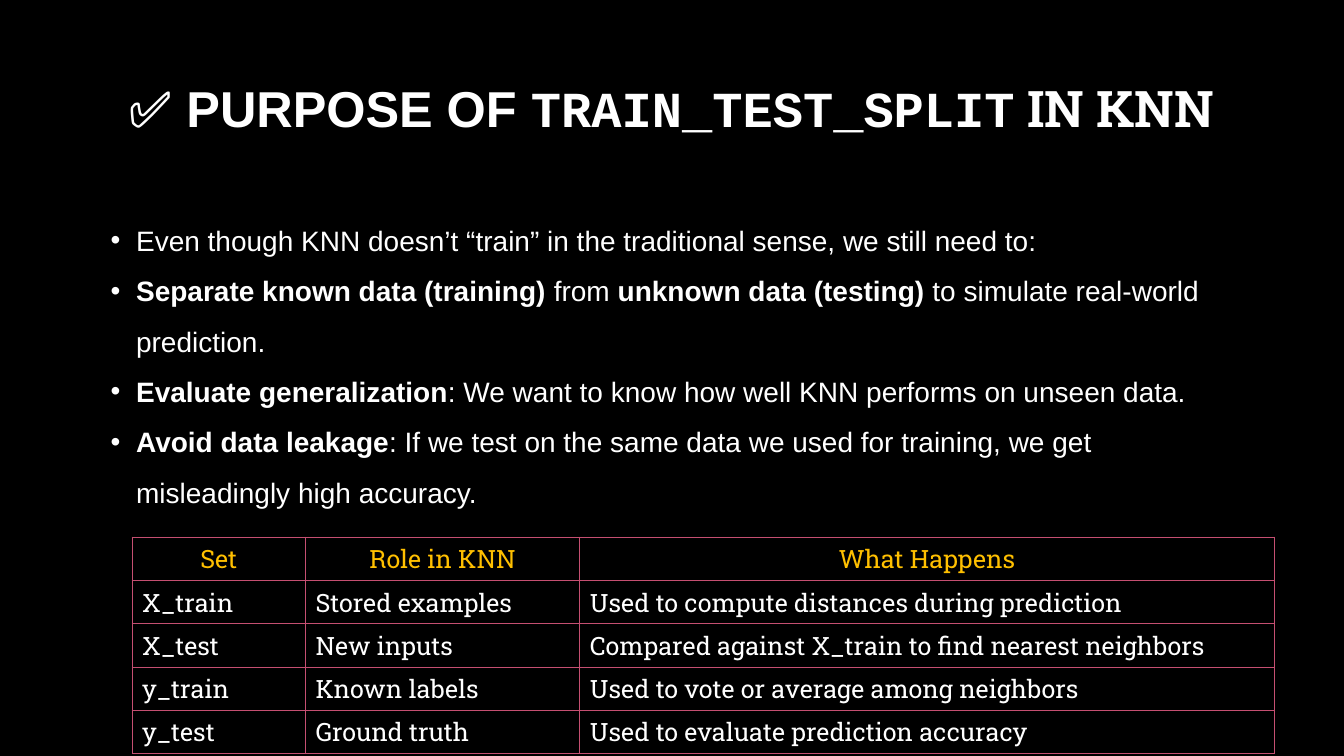
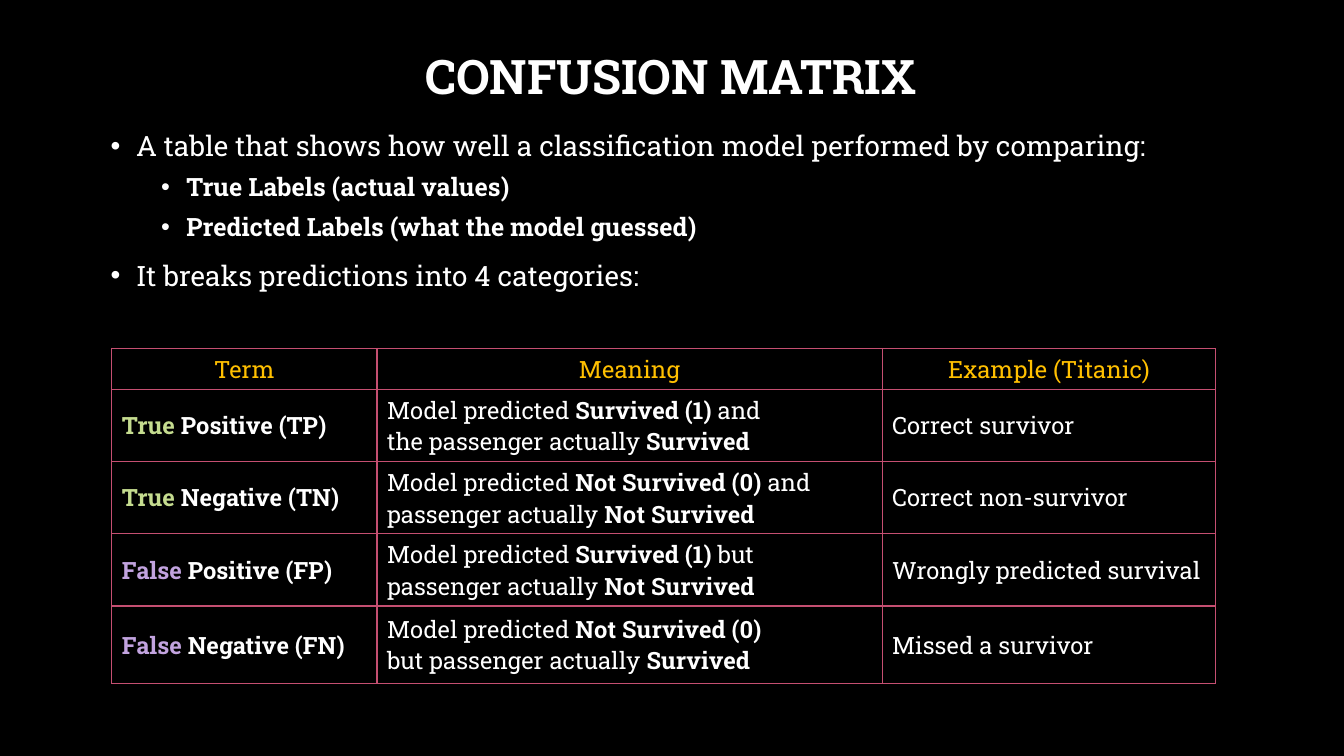
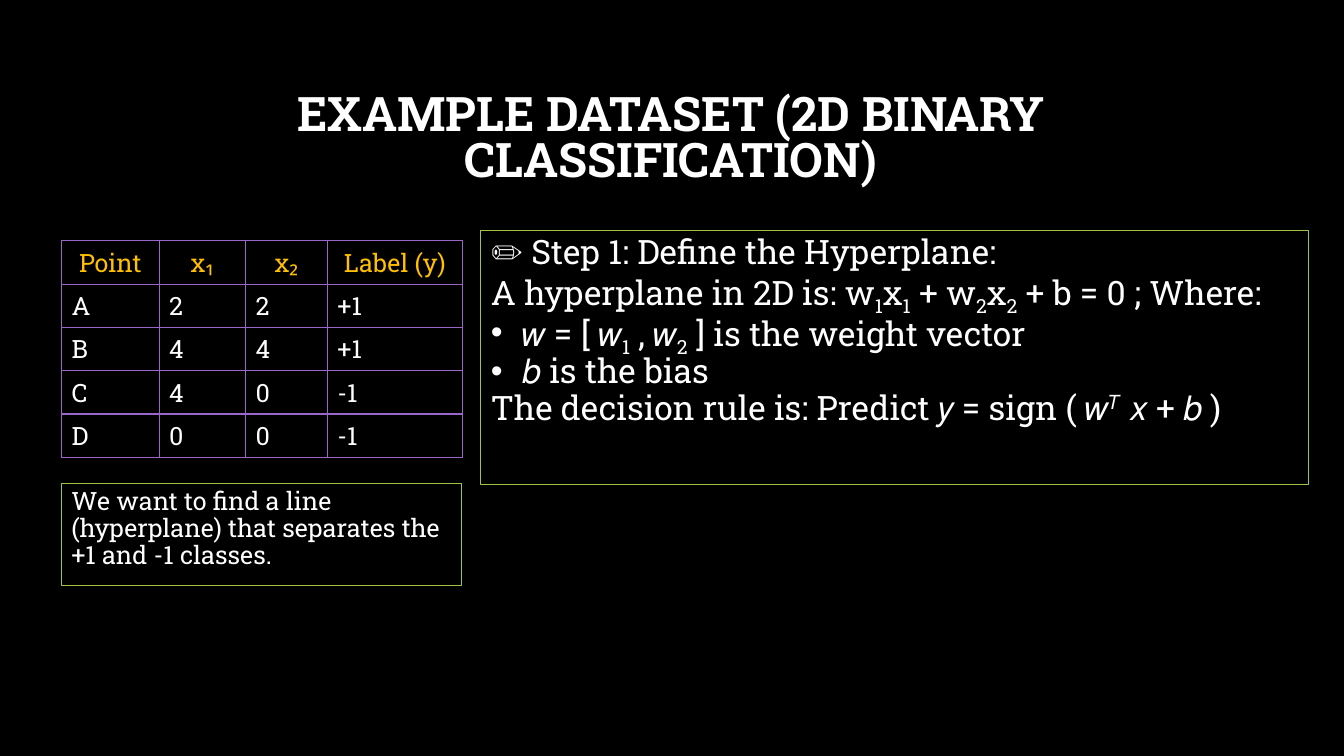
"""Builds three dark slides on KNN splits, the confusion matrix and a hyperplane."""
import dataclasses

import lxml.etree
import pptx
import pptx.dml.color
import pptx.enum.shapes
import pptx.enum.text
import pptx.oxml.ns
import pptx.util

Cm = pptx.util.Cm
Pt = pptx.util.Pt
RGBColor = pptx.dml.color.RGBColor
ALIGN = pptx.enum.text.PP_ALIGN
ANCHOR = pptx.enum.text.MSO_ANCHOR

BLACK = RGBColor(0x00, 0x00, 0x00)
WHITE = RGBColor(0xFF, 0xFF, 0xFF)
AMBER = RGBColor(0xFF, 0xC0, 0x00)
ROSE = RGBColor(0xC5, 0x4F, 0x71)
PURPLE = RGBColor(0x9A, 0x66, 0xCA)
LILAC = RGBColor(0xC2, 0xA3, 0xDF)
GREEN = RGBColor(0x9E, 0xC5, 0x44)
LIME = RGBColor(0xC5, 0xDC, 0x8F)

SLAB = "Roboto Slab"
SANS = "Arial"
MONO = "Courier New"
ROW_HEIGHT = 1.09


@dataclasses.dataclass
class Span:
    text: str
    bold: bool = False
    color: RGBColor = None
    font: str = None
    baseline: int = 0


@dataclasses.dataclass
class Para:
    spans: list
    size: float = 20
    font: str = SLAB
    color: RGBColor = WHITE
    align: int = ALIGN.LEFT
    spacing: object = 1.0
    before: float = 0
    indent: float = 0
    hanging: float = 0.64


def bold(text, color=None):
    return Span(text, bold=True, color=color)


def sub(text):
    return Span(text, baseline=-25000)


def sup(text):
    return Span(text, baseline=30000)


def add_xml(parent, tag, **attributes):
    return lxml.etree.SubElement(parent, pptx.oxml.ns.qn(tag), attributes)


def add_bullet(paragraph, indent, hanging):
    properties = paragraph._p.get_or_add_pPr()
    properties.set("marL", str(Cm(indent)))
    properties.set("indent", str(-Cm(hanging)))
    add_xml(properties, "a:buFont", typeface=SANS)
    add_xml(properties, "a:buChar", char="•")


def write(frame, paras):
    for index, para in enumerate(paras):
        paragraph = frame.paragraphs[0] if index == 0 else frame.add_paragraph()
        if para.indent:
            add_bullet(paragraph, para.indent, para.hanging)
        paragraph.alignment = para.align
        paragraph.line_spacing = para.spacing
        paragraph.space_before = Pt(para.before if index else 0)
        for item in para.spans:
            span = item if isinstance(item, Span) else Span(item)
            run = paragraph.add_run()
            run.text = span.text
            run.font.size = Pt(para.size)
            run.font.name = span.font or para.font
            run.font.bold = span.bold
            run.font.color.rgb = span.color or para.color
            if span.baseline:
                run._r.get_or_add_rPr().set("baseline", str(span.baseline))


def add_page(deck):
    page = deck.slides.add_slide(deck.slide_layouts[6])
    page.background.fill.solid()
    page.background.fill.fore_color.rgb = BLACK
    return page


def add_text(page, top, height, paras):
    box = page.shapes.add_textbox(Cm(2.54), Cm(top), Cm(28.75), Cm(height))
    box.text_frame.word_wrap = True
    write(box.text_frame, paras)
    return box.text_frame


def add_title(page, spans, top=1.7, height=3.68, size=34, spacing=0.9):
    title = Para(spans, size=size, align=ALIGN.CENTER, spacing=spacing)
    frame = add_text(page, top, height, [title])
    frame.vertical_anchor = ANCHOR.MIDDLE
    return frame


def add_framed_text(page, left, top, width, height, paras):
    box = page.shapes.add_shape(pptx.enum.shapes.MSO_SHAPE.RECTANGLE,
                                Cm(left), Cm(top), Cm(width), Cm(height))
    box.shadow.inherit = False
    box.fill.background()
    box.line.color.rgb = GREEN
    box.line.width = Pt(0.75)
    box.text_frame.word_wrap = True
    box.text_frame.vertical_anchor = ANCHOR.TOP
    write(box.text_frame, paras)


def set_borders(cell, color):
    properties = cell._tc.get_or_add_tcPr()
    for side in ("a:lnL", "a:lnR", "a:lnT", "a:lnB"):
        line = add_xml(properties, side, w=str(Pt(1)))
        add_xml(add_xml(line, "a:solidFill"), "a:srgbClr", val=str(color))


def add_grid(page, left, top, widths, heights, rows, border, size=18):
    """Draw a table; a cell is a string or a list of lines, each a list of spans."""
    table = page.shapes.add_table(len(rows), len(widths), Cm(left), Cm(top),
                                  Cm(sum(widths)), Cm(sum(heights))).table
    table.first_row = table.horz_banding = False
    for column, width in zip(table.columns, widths):
        column.width = Cm(width)
    for row_index, (row, height) in enumerate(zip(rows, heights)):
        table.rows[row_index].height = Cm(height)
        color, align = (WHITE, ALIGN.LEFT) if row_index else (AMBER, ALIGN.CENTER)
        for column_index, content in enumerate(row):
            cell = table.cell(row_index, column_index)
            cell.vertical_anchor = ANCHOR.MIDDLE
            set_borders(cell, border)
            cell.fill.background()
            lines = [[content]] if isinstance(content, str) else content
            write(cell.text_frame, [Para(line, size=size, color=color, align=align)
                                    for line in lines])


def build_split_page(deck):
    page = add_page(deck)
    title = add_title(page, [Span("✅ PURPOSE OF ", True, font=SANS),
                             Span("TRAIN_TEST_SPLIT", True, font=MONO),
                             bold(" IN KNN")], size=36)
    title.margin_bottom = Cm(1.6)
    reasons = [
        ["Even though KNN doesn’t “train” in the traditional sense, we still need to:"],
        [bold("Separate known data (training)"), " from ",
         bold("unknown data (testing)"), " to simulate real-world prediction."],
        [bold("Evaluate generalization"),
         ": We want to know how well KNN performs on unseen data."],
        [bold("Avoid data leakage"),
         ": If we test on the same data we used for training, "
         "we get misleadingly high accuracy."],
    ]
    add_text(page, 5.08, 8.31, [Para(spans, font=SANS, spacing=Pt(36), indent=0.64)
                                for spans in reasons])
    rows = [
        ("Set", "Role in KNN", "What Happens"),
        ("X_train", "Stored examples", "Used to compute distances during prediction"),
        ("X_test", "New inputs", "Compared against X_train to find nearest neighbors"),
        ("y_train", "Known labels", "Used to vote or average among neighbors"),
        ("y_test", "Ground truth", "Used to evaluate prediction accuracy"),
    ]
    add_grid(page, 3.33, 13.54, (4.37, 6.91, 17.5), [ROW_HEIGHT] * len(rows), rows, ROSE)


def build_matrix_page(deck):
    page = add_page(deck)
    add_title(page, [bold("CONFUSION MATRIX")], top=0.71, height=2.59)
    main_style = dict(spacing=1.08, before=10, indent=0.64)
    sub_style = dict(size=18, spacing=1.08, before=5, indent=1.91)
    add_text(page, 3.05, 13.03, [
        Para(["A table that shows how well a classification model performed by comparing:"],
             **main_style),
        Para([bold("True Labels (actual values)")], **sub_style),
        Para([bold("Predicted Labels (what the model guessed)")], **sub_style),
        Para(["It breaks predictions into 4 categories:"], **main_style),
    ])
    outcomes = [
        ("True", " Positive (TP)", "Survived (1)", " and",
         "the passenger actually ", "Survived", "Correct survivor"),
        ("True", " Negative (TN)", "Not Survived (0)", " and",
         "passenger actually ", "Not Survived", "Correct non-survivor"),
        ("False", " Positive (FP)", "Survived (1)", " but",
         "passenger actually ", "Not Survived", "Wrongly predicted survival"),
        ("False", " Negative (FN)", "Not Survived (0)", "",
         "but passenger actually ", "Survived", "Missed a survivor"),
    ]
    rows = [("Term", "Meaning", "Example (Titanic)")]
    for truth, term, predicted, joiner, lead, actual, example in outcomes:
        prediction = ["Model predicted ", bold(predicted)] + ([joiner] if joiner else [])
        rows.append(([[bold(truth, LIME if truth == "True" else LILAC), bold(term)]],
                     [prediction, [lead, bold(actual)]],
                     example))
    add_grid(page, 2.82, 8.78, (6.68, 12.73, 8.41), (1.03, 1.82, 1.82, 1.82, 1.95),
             rows, ROSE, size=17)


def build_dataset_page(deck):
    page = add_page(deck)
    add_title(page, [bold("EXAMPLE DATASET (2D BINARY CLASSIFICATION)")], spacing=0.81)
    rows = [
        ("Point", "x₁", "x₂", "Label (y)"),
        ("A", "2", "2", "+1"),
        ("B", "4", "4", "+1"),
        ("C", "4", "0", "-1"),
        ("D", "0", "0", "-1"),
    ]
    add_grid(page, 1.55, 6.07, (2.46, 2.18, 2.06, 3.4), [ROW_HEIGHT] * len(rows),
             rows, PURPLE)
    goal = "We want to find a line (hyperplane) that separates the +1 and -1 classes."
    add_framed_text(page, 1.55, 12.19, 10.08, 2.57, [Para([goal], size=18, spacing=0.9)])
    plain = dict(size=24, spacing=0.9)
    bulleted = dict(plain, indent=0.79, hanging=0.79)
    add_framed_text(page, 12.12, 5.82, 20.85, 6.4, [
        Para(["✏️ Step 1: Define the Hyperplane:"], **plain),
        Para(["A hyperplane in 2D is: w", sub("1"), "x", sub("1"), " + w", sub("2"),
              "x", sub("2"), " + b = 0 ; Where:"], **plain),
        Para(["𝑤 = [ 𝑤", sub("1"), " , 𝑤", sub("2"), " ] is the weight vector"],
             **bulleted),
        Para(["𝑏 is the bias"], **bulleted),
        Para(["The decision rule is: Predict 𝑦 = sign ( 𝑤", sup("𝑇"), " 𝑥 + 𝑏 )"],
             **plain),
    ])


def main():
    deck = pptx.Presentation()
    deck.slide_width = Cm(33.87)
    deck.slide_height = Cm(19.05)
    build_split_page(deck)
    build_matrix_page(deck)
    build_dataset_page(deck)
    deck.save("out.pptx")


if __name__ == "__main__":
    main()
